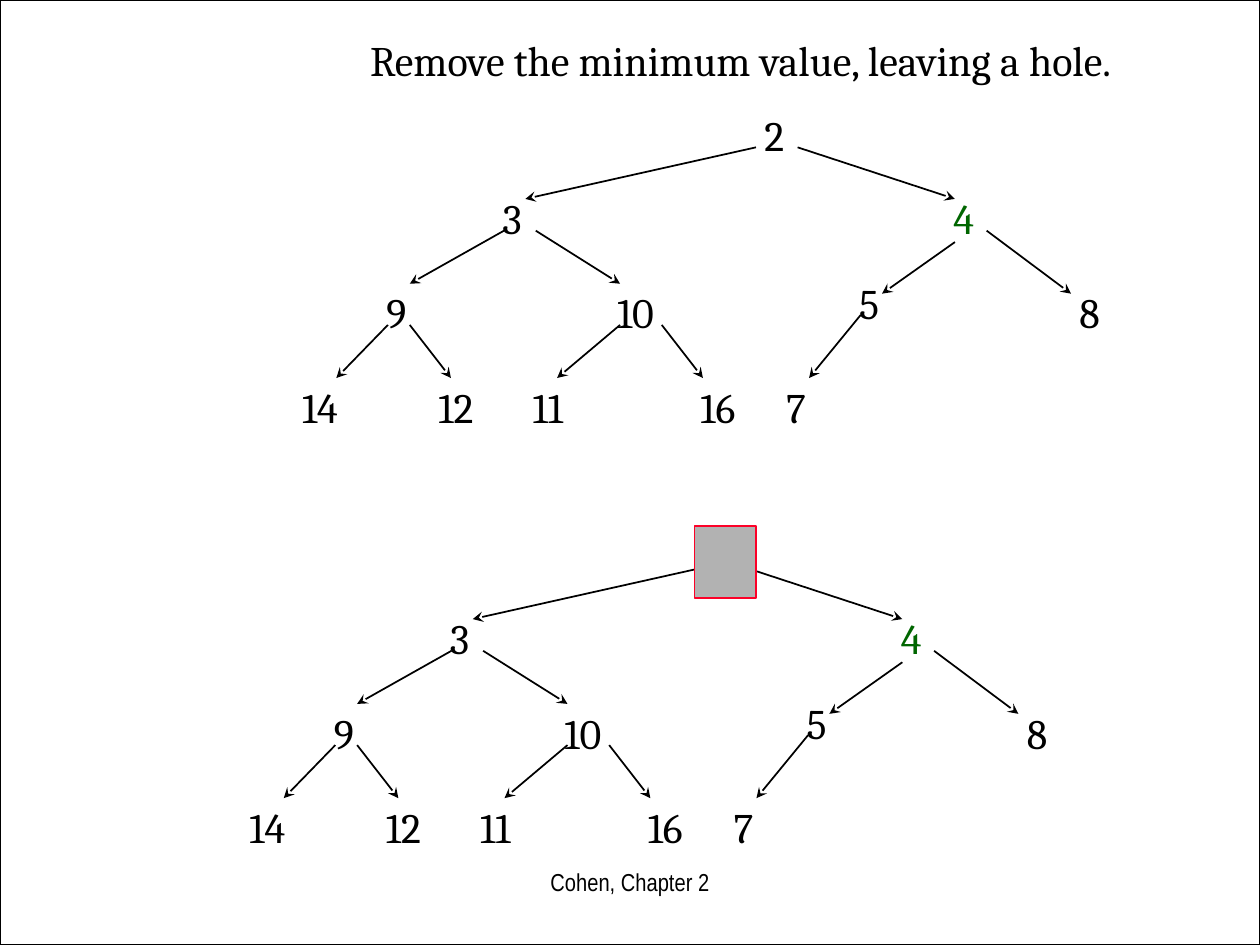
"""Build a slide showing a heap before and after its minimum is removed."""
from dataclasses import dataclass

from lxml import etree
from pptx import Presentation
from pptx.dml.color import RGBColor
from pptx.enum.shapes import MSO_CONNECTOR, MSO_SHAPE
from pptx.enum.text import MSO_AUTO_SIZE, PP_ALIGN
from pptx.oxml.ns import qn
from pptx.util import Cm, Pt


@dataclass(frozen=True)
class Theme:
    ink: str = "000000"
    paper: str = "FFFFFF"
    accent: str = "006600"
    hole_fill: str = "B2B2B2"
    hole_line: str = "FC0128"
    body_font: str = "Cambria"
    footer_font: str = "Arial Narrow"
    body_size: int = 24
    footer_size: int = 14
    frame_width: float = 0.75
    line_width: float = 1


WIDTH, HEIGHT = 25.4, 19.05
LINE_HEIGHT = 1.27
LABEL_WIDTHS = {1: 0.99, 2: 1.47}
LOWER_SHIFT = (-1.06, 8.47)

ROOT = ("2", 15.16, 2.08)
NODES = [
    ("3", 9.88, 3.76), ("4", 18.97, 3.76),
    ("9", 7.54, 5.66), ("10", 12.19, 5.66), ("5", 17.07, 5.46), ("8", 21.51, 5.66),
    ("14", 5.84, 7.57), ("12", 8.59, 7.57), ("11", 10.49, 7.57),
    ("16", 13.87, 7.57), ("7", 15.6, 7.57),
]
EDGES = [
    (15.24, 2.97, 10.59, 4.01), (16.08, 2.97, 19.25, 4.01),
    (10.16, 4.65, 8.26, 5.72), (10.8, 4.65, 12.5, 5.72),
    (19.25, 4.88, 17.78, 5.92), (19.89, 4.65, 21.59, 5.92),
    (7.82, 6.55, 6.78, 7.62), (8.26, 6.55, 9.09, 7.62),
    (12.5, 6.55, 11.23, 7.62), (13.34, 6.55, 14.17, 7.62),
    (17.35, 6.35, 16.31, 7.62),
]


class HeapSlide:
    def __init__(self, slide, theme):
        self.slide = slide
        self.theme = theme

    def box(self, x, y, w, h, fill, line, line_width):
        sp = self.slide.shapes.add_shape(MSO_SHAPE.RECTANGLE, Cm(x), Cm(y), Cm(w), Cm(h))
        sp.shadow.inherit = False
        sp.fill.solid()
        sp.fill.fore_color.rgb = RGBColor.from_string(fill)
        sp.line.color.rgb = RGBColor.from_string(line)
        sp.line.width = Pt(line_width)

    def text(self, text, x, y, w, font, size, color, wrap=False, align=PP_ALIGN.LEFT):
        sp = self.slide.shapes.add_textbox(Cm(x), Cm(y), Cm(w), Cm(LINE_HEIGHT))
        tf = sp.text_frame
        tf.word_wrap = wrap
        tf.auto_size = MSO_AUTO_SIZE.NONE if wrap else MSO_AUTO_SIZE.SHAPE_TO_FIT_TEXT
        p = tf.paragraphs[0]
        p.text = text
        p.alignment = align
        p.font.name = font
        p.font.size = Pt(size)
        p.font.color.rgb = RGBColor.from_string(color)

    def body(self, text, x, y, w, color=None):
        t = self.theme
        self.text(text, x, y, w, t.body_font, t.body_size, color or t.ink)

    def node(self, label, x, y):
        color = self.theme.accent if label == "4" else self.theme.ink
        self.body(label, x, y, LABEL_WIDTHS[len(label)], color)

    def arrow(self, x1, y1, x2, y2):
        line = self.slide.shapes.add_connector(
            MSO_CONNECTOR.STRAIGHT, Cm(x1), Cm(y1), Cm(x2), Cm(y2))
        line.line.color.rgb = RGBColor.from_string(self.theme.ink)
        line.line.width = Pt(self.theme.line_width)
        etree.SubElement(line.line._get_or_add_ln(), qn("a:tailEnd"), type="stealth")
        etree.SubElement(line._element.spPr, qn("a:effectLst"))

    def tree(self, nodes, dx=0, dy=0):
        for label, x, y in nodes:
            self.node(label, x + dx, y + dy)
        for x1, y1, x2, y2 in EDGES:
            self.arrow(x1 + dx, y1 + dy, x2 + dx, y2 + dy)

    def hole(self, x, y, w, h):
        t = self.theme
        self.box(x, y, w, h, t.hole_fill, t.hole_line, t.line_width)

    def frame(self):
        t = self.theme
        self.box(0, 0, WIDTH, HEIGHT, t.paper, t.ink, t.frame_width)

    def footer(self, text, x, y, w):
        t = self.theme
        self.text(text, x, y, w, t.footer_font, t.footer_size, t.ink,
                  wrap=True, align=PP_ALIGN.CENTER)


def main():
    prs = Presentation()
    prs.slide_width, prs.slide_height = Cm(WIDTH), Cm(HEIGHT)
    s = HeapSlide(prs.slides.add_slide(prs.slide_layouts[6]), Theme())
    s.frame()
    s.tree([ROOT, *NODES])
    s.tree(NODES, *LOWER_SHIFT)
    s.body("Remove the minimum value, leaving a hole.", 7.21, 0.58, 18.21)
    s.hole(14, 10.6, 1.24, 1.45)
    s.footer("Cohen, Chapter 2", 8.68, 17.36, 8.04)
    prs.save("out.pptx")


if __name__ == "__main__":
    main()
